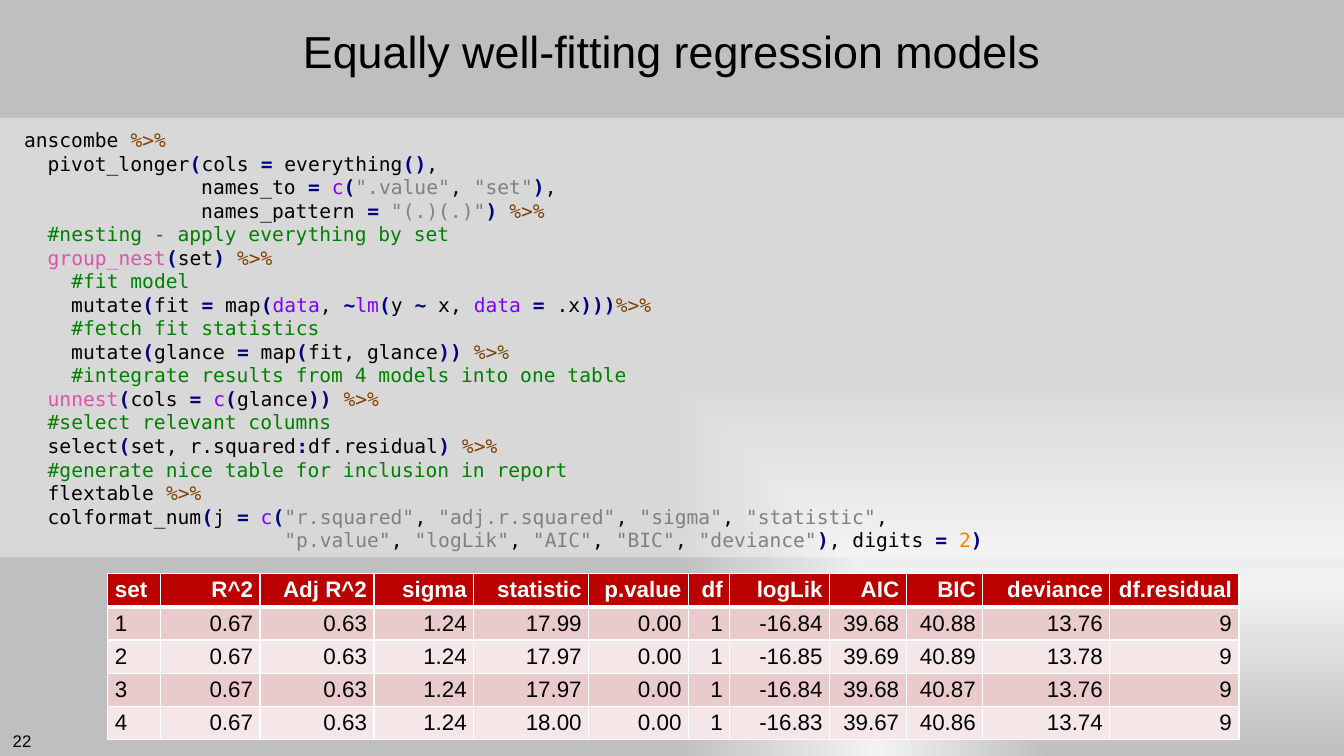
from dataclasses import dataclass
from typing import Iterator

from lxml import etree
from pptx import Presentation
from pptx.dml.color import RGBColor
from pptx.enum.shapes import MSO_SHAPE
from pptx.enum.text import MSO_ANCHOR, PP_ALIGN
from pptx.oxml import parse_xml
from pptx.oxml.ns import nsdecls, qn
from pptx.util import Inches, Pt

LEFT, CENTER, RIGHT = PP_ALIGN.LEFT, PP_ALIGN.CENTER, PP_ALIGN.RIGHT
TOP, MIDDLE = MSO_ANCHOR.TOP, MSO_ANCHOR.MIDDLE
RECTANGLE = MSO_SHAPE.RECTANGLE

BLACK = RGBColor(0x00, 0x00, 0x00)
WHITE = RGBColor(0xFF, 0xFF, 0xFF)
BROWN = RGBColor(0x80, 0x40, 0x00)
NAVY = RGBColor(0x00, 0x00, 0x80)
VIOLET = RGBColor(0x80, 0x00, 0xFF)
GREY = RGBColor(0x80, 0x80, 0x80)
GREEN = RGBColor(0x00, 0x80, 0x00)
PINK = RGBColor(0xD9, 0x55, 0xA7)
ORANGE = RGBColor(0xFF, 0x80, 0x00)
HEADER_RED = RGBColor(0xBB, 0x00, 0x00)
BAND_DARK = RGBColor(0xEA, 0xCB, 0xCB)
BAND_LIGHT = RGBColor(0xF5, 0xE7, 0xE7)
BACKDROP_EDGE = RGBColor(0xBF, 0xBF, 0xBF)
BACKDROP_GLOW = RGBColor(0xF2, 0xF2, 0xF2)

TEXT_FONT, CODE_FONT = "Arial", "DejaVu Sans Mono"

OPERATORS = "()=:~"
PIPE = "%>%"
WORD_COLORS = {"c": VIOLET, "data": VIOLET, "lm": VIOLET,
               "group_nest": PINK, "unnest": PINK, "2": ORANGE}
CODE = """\
anscombe %>%
  pivot_longer(cols = everything(),
               names_to = c(".value", "set"),
               names_pattern = "(.)(.)") %>%
  #nesting - apply everything by set
  group_nest(set) %>%
    #fit model
    mutate(fit = map(data, ~lm(y ~ x, data = .x)))%>%
    #fetch fit statistics
    mutate(glance = map(fit, glance)) %>%
    #integrate results from 4 models into one table
  unnest(cols = c(glance)) %>%
  #select relevant columns
  select(set, r.squared:df.residual) %>%
  #generate nice table for inclusion in report
  flextable %>%
  colformat_num(j = c("r.squared", "adj.r.squared", "sigma", "statistic",
                      "p.value", "logLik", "AIC", "BIC", "deviance"), digits = 2)"""


@dataclass(frozen=True)
class Column:
    heading: str
    width: float
    values: tuple[str, ...]


COLUMNS = (
    Column("set", 0.52, ("1", "2", "3", "4")),
    Column("R^2", 0.99, ("0.67",) * 4),
    Column("Adj R^2", 1.13, ("0.63",) * 4),
    Column("sigma", 0.99, ("1.24",) * 4),
    Column("statistic", 1.14, ("17.99", "17.97", "17.97", "18.00")),
    Column("p.value", 0.99, ("0.00",) * 4),
    Column("df", 0.41, ("1",) * 4),
    Column("logLik", 0.99, ("-16.84", "-16.85", "-16.84", "-16.83")),
    Column("AIC", 0.76, ("39.68", "39.69", "39.68", "39.67")),
    Column("BIC", 0.76, ("40.88", "40.89", "40.87", "40.86")),
    Column("deviance", 1.26, ("13.76", "13.78", "13.76", "13.74")),
    Column("df.residual", 1.28, ("9",) * 4),
)
ROW_HEIGHT = 0.33


def apply_format(target, values: dict) -> None:
    for attribute, value in values.items():
        setattr(target, attribute, value)


def add_run(paragraph, text: str, color: RGBColor, **font_format) -> None:
    run = paragraph.add_run()
    run.text = text
    apply_format(run.font, font_format)
    run.font.color.rgb = color


def token_end(line: str, start: int) -> int:
    """Return the position just after the code token that begins at start."""
    head = line[start]
    if head == "#":
        return len(line)
    if head == '"':
        return line.index('"', start + 1) + 1
    if line.startswith(PIPE, start):
        return start + len(PIPE)
    end = start + 1
    if head.isalnum():
        while end < len(line) and (line[end].isalnum() or line[end] in "._"):
            end += 1
    return end


def token_color(token: str) -> RGBColor:
    if token in OPERATORS:
        return NAVY
    if token == PIPE:
        return BROWN
    return {"#": GREEN, '"': GREY}.get(token[0], WORD_COLORS.get(token, BLACK))


def colored_runs(line: str) -> Iterator[tuple[str, RGBColor]]:
    """Join neighbouring tokens of one colour; a space keeps the colour before it."""
    text, color, start = "", BLACK, 0
    while start < len(line):
        end = token_end(line, start)
        token = line[start:end]
        new_color = color if token == " " else token_color(token)
        if new_color != color and text:
            yield text, color
            text = ""
        text, color, start = text + token, new_color, end
    yield text, color


def set_backdrop(slide) -> None:
    stops = "".join(
        f'<a:gs pos="{percent * 1000}"><a:srgbClr val="{color}"/></a:gs>'
        for percent, color in ((0, BACKDROP_EDGE), (46, BACKDROP_GLOW), (100, BACKDROP_EDGE)))
    slide.background.fill.solid()
    solid = slide.background._cSld.find(".//" + qn("a:solidFill"))
    solid.getparent().replace(solid, parse_xml(
        f'<a:gradFill {nsdecls("a")} rotWithShape="1"><a:gsLst>{stops}</a:gsLst>'
        '<a:path path="rect"><a:fillToRect l="100000" t="100000"/></a:path></a:gradFill>'))


def add_label(slide, text: str, box: tuple[float, ...], size: int,
              align: PP_ALIGN, wrap: bool) -> None:
    frame = slide.shapes.add_textbox(*map(Inches, box)).text_frame
    apply_format(frame, {"word_wrap": wrap, "vertical_anchor": MIDDLE})
    paragraph = frame.paragraphs[0]
    paragraph.alignment = align
    add_run(paragraph, text, BLACK, name=TEXT_FONT, size=Pt(size))


def add_code_panel(slide) -> None:
    panel = slide.shapes.add_shape(
        RECTANGLE, Inches(0), Inches(1.17), Inches(13.33), Inches(4.36))
    panel.shadow.inherit = False
    panel.line.fill.background()
    panel.fill.solid()
    panel.fill.fore_color.rgb = WHITE
    tint = panel.fill._xPr.find(".//" + qn("a:srgbClr"))
    etree.SubElement(tint, qn("a:alpha"), val="40000")
    frame = panel.text_frame
    margins = dict.fromkeys(
        ("margin_left", "margin_top", "margin_right", "margin_bottom"), Inches(0.1))
    apply_format(frame, {"word_wrap": True, "vertical_anchor": TOP, **margins})
    for number, line in enumerate(CODE.splitlines()):
        paragraph = frame.add_paragraph() if number else frame.paragraphs[0]
        paragraph.alignment = LEFT
        paragraph._p.get_or_add_pPr().set("marL", str(Inches(0.14)))
        for text, color in colored_runs(line):
            add_run(paragraph, text, color, name=CODE_FONT, size=Pt(14), bold=color == NAVY)


def add_border(cell, side: str, points: int) -> None:
    cell._tc.get_or_add_tcPr().append(parse_xml(
        f'<a:ln{side} {nsdecls("a")} w="{Pt(points)}"><a:solidFill>'
        f'<a:srgbClr val="{WHITE}"/></a:solidFill></a:ln{side}>'))


def fill_cell(cell, text: str, row: int, align: PP_ALIGN) -> None:
    is_header = row == 0
    for side in "LRTB":
        under_header = (row, side) in ((0, "B"), (1, "T"))
        add_border(cell, side, 3 if under_header else 1)
    cell.fill.solid()
    cell.fill.fore_color.rgb = HEADER_RED if is_header else (BAND_LIGHT, BAND_DARK)[row % 2]
    margins = dict.fromkeys(("margin_left", "margin_top", "margin_right", "margin_bottom"), 0)
    apply_format(cell, {"vertical_anchor": MIDDLE, **margins})
    paragraph = cell.text_frame.paragraphs[0]
    apply_format(paragraph, {"alignment": align, "space_before": Pt(2), "space_after": Pt(2)})
    for indent in ("marL", "marR"):
        paragraph._p.get_or_add_pPr().set(indent, str(Inches(0.07)))
    add_run(paragraph, text, WHITE if is_header else BLACK,
            name=TEXT_FONT, size=Pt(16), bold=is_header)


def add_model_table(slide) -> None:
    row_count = 1 + len(COLUMNS[0].values)
    table = slide.shapes.add_table(
        row_count, len(COLUMNS), Inches(1.07), Inches(5.69),
        Inches(sum(column.width for column in COLUMNS)), Inches(ROW_HEIGHT * row_count)).table
    for index, column in enumerate(COLUMNS):
        table.columns[index].width = Inches(column.width)
        for row, text in enumerate((column.heading, *column.values)):
            fill_cell(table.cell(row, index), text, row, RIGHT if index else LEFT)


def main() -> None:
    deck = Presentation()
    apply_format(deck, {"slide_width": Inches(13.33), "slide_height": Inches(7.5)})
    slide = deck.slides.add_slide(deck.slide_layouts[6])
    set_backdrop(slide)
    add_label(slide, "22", (0, 7.2, 0.41, 0.3), 12, RIGHT, False)
    add_label(slide, "Equally well-fitting regression models", (1, 0, 11.33, 1), 32, CENTER, True)
    add_code_panel(slide)
    add_model_table(slide)
    deck.save("out.pptx")


if __name__ == "__main__":
    main()
